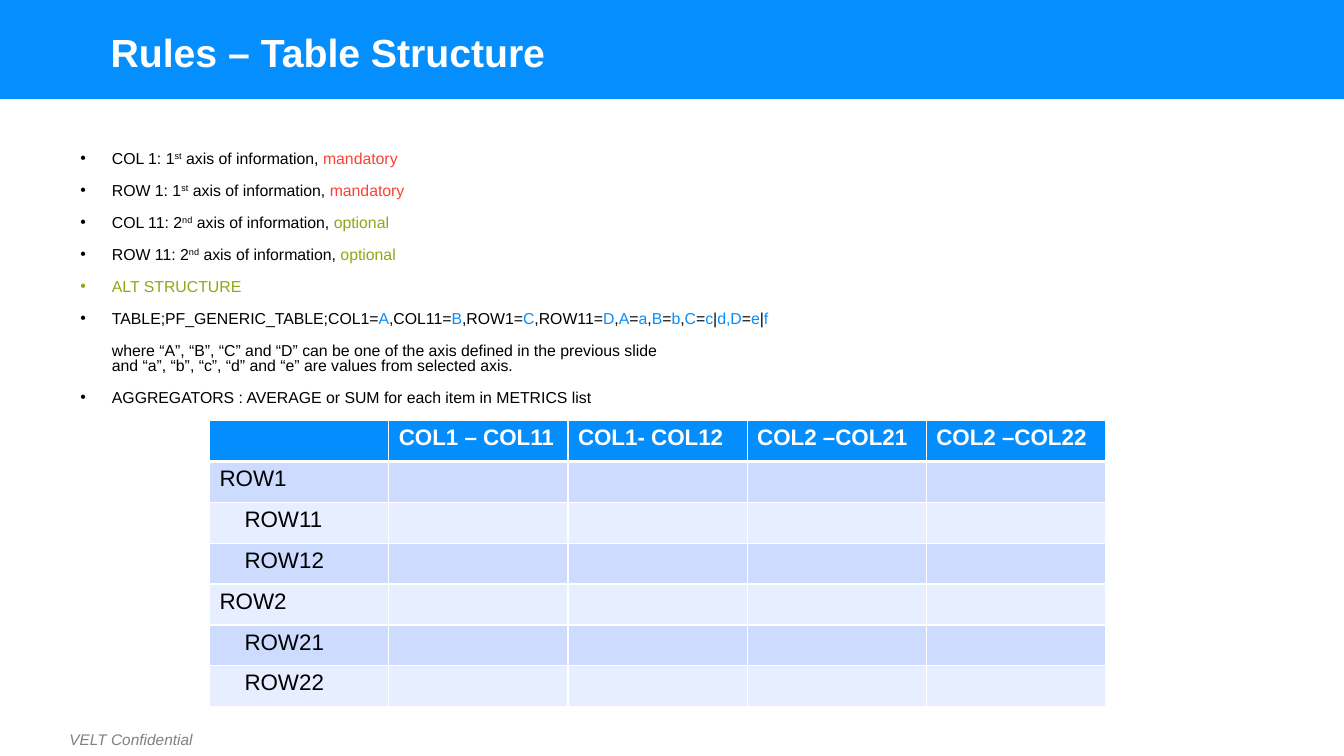
from dataclasses import dataclass
from typing import Any, NamedTuple

from lxml.etree import SubElement
from pptx import Presentation
from pptx.dml.color import RGBColor
from pptx.enum.shapes import MSO_SHAPE
from pptx.enum.text import MSO_ANCHOR
from pptx.oxml.ns import qn
from pptx.util import Pt

HUES = {
    "band": "058FFE", "blue": "048EFD", "red": "FC4132", "green": "8AAA16",
    "black": "000000", "white": "FFFFFF", "gray": "808080",
    "odd": "CCDBFE", "even": "E7EEFF",
}


class Run(NamedTuple):
    text: str
    hue: str = "black"
    sup: bool = False


@dataclass
class Line:
    runs: list[Run]
    mark: bool = True


@dataclass
class Label:
    text: str
    box: tuple[float, float, float, float]
    hue: str
    form: dict[str, Any]
    wrap: bool = True
    lead: float = 1.0


def color(name: str) -> RGBColor:
    return RGBColor.from_string(HUES[name])


def apply(item: Any, form: dict[str, Any]) -> None:
    for key, val in form.items():
        setattr(item, key, val)


def add_run(para: Any, part: Run, form: dict[str, Any]) -> None:
    for i, text in enumerate(part.text.split("\n")):
        if i:
            para.add_line_break()
        run = para.add_run()
        run.text = text
        apply(run.font, {"name": "Arial", **form})
        run.font.color.rgb = color(part.hue)
        if part.sup:
            run._r.get_or_add_rPr().set("baseline", "30000")


def add_frame(slide: Any, box: tuple[float, float, float, float], wrap: bool) -> Any:
    frame = slide.shapes.add_textbox(*map(Pt, box)).text_frame
    apply(frame, {"word_wrap": wrap, "vertical_anchor": MSO_ANCHOR.TOP})
    return frame


def add_label(slide: Any, label: Label) -> None:
    para = add_frame(slide, label.box, label.wrap).paragraphs[0]
    para.line_spacing = label.lead
    add_run(para, Run(label.text, label.hue), label.form)


def add_list(slide: Any, lines: list[Line]) -> None:
    frame = add_frame(slide, (50.4, 105.1, 861, 195), True)
    for i, line in enumerate(lines):
        para = frame.paragraphs[0] if i == 0 else frame.add_paragraph()
        apply(para, {"line_spacing": 0.8, "space_before": Pt(12)})
        props = para._p.get_or_add_pPr()
        props.set("marL", str(Pt(22.5)))
        props.set("indent", str(Pt(-22.5 if line.mark else 0)))
        if line.mark:
            SubElement(props, qn("a:buFont")).set("typeface", "Arial")
            SubElement(props, qn("a:buChar")).set("char", "•")
        else:
            SubElement(props, qn("a:buNone"))
        for part in line.runs:
            add_run(para, part, {"size": Pt(11.3)})


def edge(cell: Any, side: str, width: float) -> None:
    line = SubElement(cell._tc.get_or_add_tcPr(), qn(f"a:ln{side}"))
    line.set("w", str(Pt(width)))
    fill = SubElement(line, qn("a:solidFill"))
    SubElement(fill, qn("a:srgbClr")).set("val", HUES["white"])


def add_grid(slide: Any, heads: list[str], names: list[str]) -> None:
    rows, cols = len(names) + 1, len(heads) + 1
    box = map(Pt, (149.7, 300.4, 128 * cols, 29.2 * rows))
    grid = slide.shapes.add_table(rows, cols, *box).table
    for col in grid.columns:
        col.width = Pt(128)
    for r, row in enumerate(grid.rows):
        row.height = Pt(29.2)
        for c, cell in enumerate(row.cells):
            # Heavy rule under the header row
            wide = {"L": 1, "R": 1, "T": 3 if r == 1 else 1, "B": 3 if r == 0 else 1}
            for side, width in wide.items():
                edge(cell, side, width)
            cell.fill.solid()
            shade = "blue" if r == 0 else "odd" if r % 2 else "even"
            cell.fill.fore_color.rgb = color(shade)
            text = heads[c - 1] if r == 0 and c else names[r - 1] if r and not c else ""
            if text:
                hue = "black" if r else "white"
                form = {"size": Pt(16), "bold": r == 0}
                add_run(cell.text_frame.paragraphs[0], Run(text, hue), form)
            # Two-digit rows sit one level deeper
            if r and len(text) > len("ROW1"):
                cell.margin_left = Pt(25)


def axis(name: str, rank: str, need: str, hue: str) -> Line:
    return Line([Run(f"{name}: {rank[0]}"), Run(rank[1:], sup=True),
                 Run(" axis of information, "), Run(need, hue)])


# Black and blue pieces take turns
RULE = ("TABLE;PF_GENERIC_TABLE;COL1=~A~,COL11=~B~,ROW1=~C~,ROW11=~D~,~A~=~a~,"
        "~B~=~b~,~C~=~c~|~d,D~=~e~|~f")
LINES = [
    axis("COL 1", "1st", "mandatory", "red"),
    axis("ROW 1", "1st", "mandatory", "red"),
    axis("COL 11", "2nd", "optional", "green"),
    axis("ROW 11", "2nd", "optional", "green"),
    Line([Run("ALT STRUCTURE", "green")]),
    Line([Run(bit, "blue" if i % 2 else "black") for i, bit in enumerate(RULE.split("~"))]),
    Line([Run("where “A”, “B”, “C” and “D” can be one of the axis defined in the previous slide\n"
              "and “a”, “b”, “c”, “d” and “e” are values from selected axis.")], mark=False),
    Line([Run("AGGREGATORS : AVERAGE or SUM for each item in METRICS list")]),
]
LABELS = [
    Label("Rules – Table Structure", (72, 20.2, 828, 31.7), "white",
          {"size": Pt(28), "bold": True}, lead=0.9),
    Label("VELT Confidential", (42.5, 517.7, 106, 20.9), "gray",
          {"size": Pt(11), "italic": True}, wrap=False),
]
HEADS = ["COL1 – COL11", "COL1- COL12", "COL2 –COL21", "COL2 –COL22"]
NAMES = ["ROW1", "ROW11", "ROW12", "ROW2", "ROW21", "ROW22"]


def main() -> None:
    deck = Presentation()
    apply(deck, {"slide_width": Pt(960), "slide_height": Pt(540)})
    slide = deck.slides.add_slide(deck.slide_layouts[6])

    # Title band
    band = slide.shapes.add_shape(MSO_SHAPE.RECTANGLE, 0, 0, Pt(960), Pt(70.6))
    band.shadow.inherit = False
    band.fill.solid()
    band.fill.fore_color.rgb = color("band")
    band.line.fill.background()

    # Title and footer
    for label in LABELS:
        add_label(slide, label)

    # Rules and table
    add_list(slide, LINES)
    add_grid(slide, HEADS, NAMES)
    deck.save("out.pptx")


if __name__ == "__main__":
    main()
